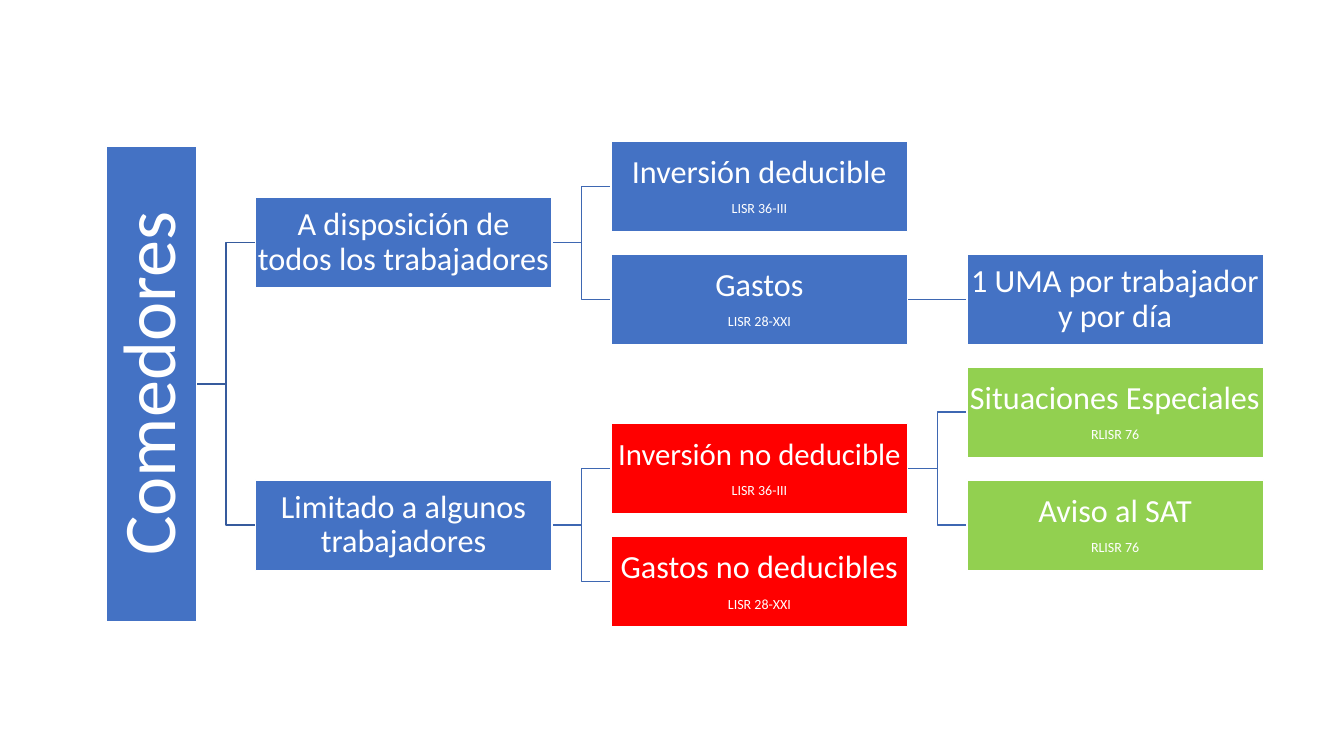
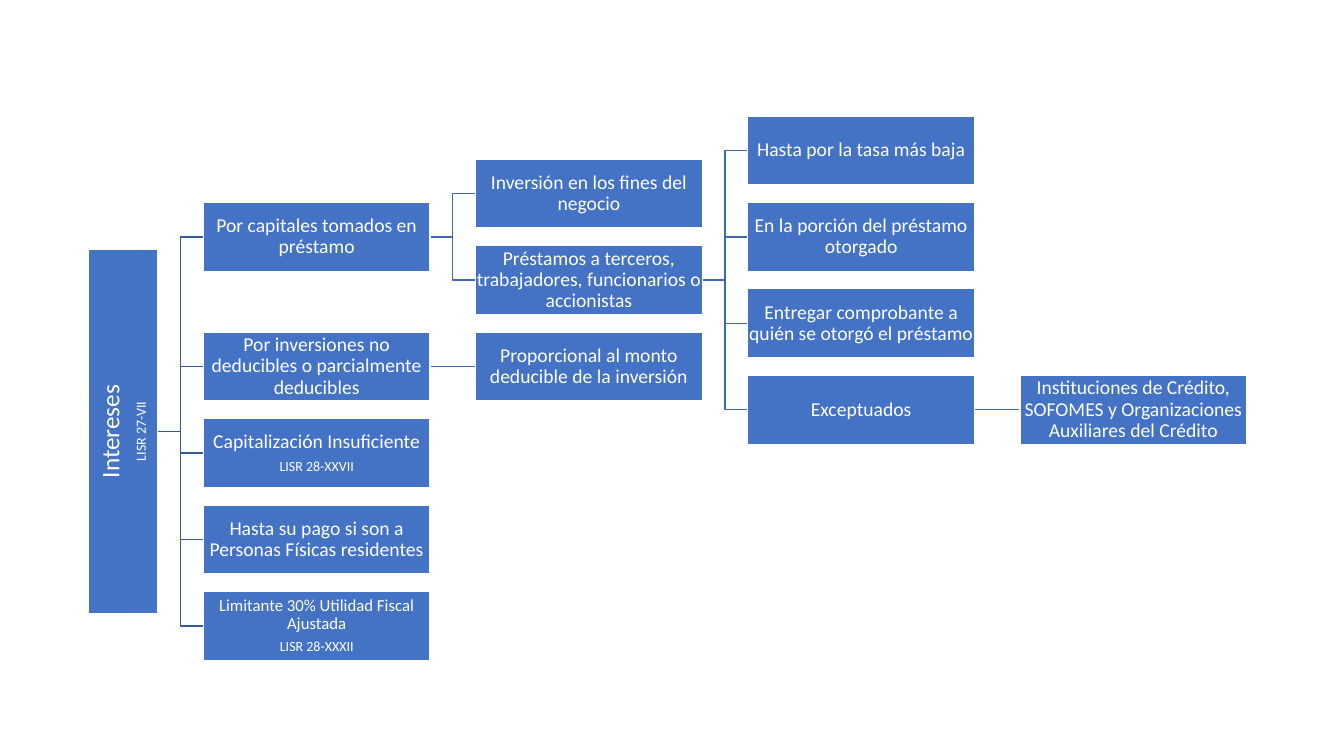
"""Builds two horizontal tree diagrams on deductible expenses."""
from dataclasses import dataclass

from lxml import etree
from pptx import Presentation
from pptx.dml.color import RGBColor
from pptx.enum.shapes import MSO_CONNECTOR, MSO_SHAPE
from pptx.enum.text import MSO_ANCHOR, PP_ALIGN
from pptx.oxml.ns import qn
from pptx.util import Inches, Pt

RECT = MSO_SHAPE.RECTANGLE
ELBOW, STRAIGHT = MSO_CONNECTOR.ELBOW, MSO_CONNECTOR.STRAIGHT
CENTER, MIDDLE = PP_ALIGN.CENTER, MSO_ANCHOR.MIDDLE
LEFT_SIDE, RIGHT_SIDE = 1, 3
BLANK = 6


@dataclass(frozen=True)
class Theme:
    """Colours, type sizes and proportions shared by the slides."""
    font: str = "Calibri"
    white: str = "FFFFFF"
    blue: str = "4472C4"
    red: str = "FF0000"
    green: str = "92D050"
    root_link: str = "365B9D"
    link: str = "3E67B2"
    line: float = 1
    note_size: int = 10
    line_spacing: float = 0.9
    space_after: float = 0.35
    box_ratio: float = 3.28
    root_length: float = 5.26
    column_pitch: float = 1.2
    row_pitch: float = 1.25


THEME = Theme()


@dataclass
class Node:
    """A box of the tree; only leaves need a row."""
    text: str
    note: str = ""
    row: float = 0
    children: tuple = ()
    fill: str = THEME.blue
    size: int = 0

    def __post_init__(self):
        if self.children:
            self.row = (self.children[0].row + self.children[-1].row) / 2


class TreeDeck:
    """Holds the style and the current slide and draws trees on it."""

    def __init__(self, theme):
        self.theme = theme
        self.prs = Presentation()
        self.prs.slide_width = Inches(13.33)
        self.prs.slide_height = Inches(7.5)

    def add_slide(self, left, top, box_width, inset, size):
        """Start a slide whose grid follows from the box width."""
        self.slide = self.prs.slides.add_slide(self.prs.slide_layouts[BLANK])
        self.left, self.top, self.width = left, top, box_width
        self.height = box_width / self.theme.box_ratio
        self.inset, self.size = inset, size

    def box(self, node, column):
        """Draw a node; column 0 is the tall root with upright text."""
        t, w, h = self.theme, self.width, self.height
        is_root = column == 0
        y = self.top + node.row * h * t.row_pitch
        if is_root:
            length = h * t.root_length
            x, y, w, h = self.left, y + (h - length) / 2, h, length
        else:
            x = self.left + h + w * (t.column_pitch * column - 1)
        sp = self.slide.shapes.add_shape(RECT, Inches(x), Inches(y), Inches(w), Inches(h))
        sp.shadow.inherit = False
        sp.fill.solid()
        sp.fill.fore_color.rgb = RGBColor.from_string(node.fill)
        sp.line.color.rgb = RGBColor.from_string(t.white)
        sp.line.width = Pt(t.line)
        if is_root:
            sp.element.txBody.bodyPr.set("vert", "vert270")
        self.label(sp.text_frame, node)
        return sp

    def label(self, tf, node):
        """Set the label and, below it, the legal reference."""
        t = self.theme
        tf.word_wrap, tf.vertical_anchor = True, MIDDLE
        tf.margin_left = tf.margin_right = Inches(self.inset)
        tf.margin_top = tf.margin_bottom = Inches(self.inset)
        tf.text = "\n".join(filter(None, (node.text, node.note)))
        for p, size in zip(tf.paragraphs, (node.size or self.size, t.note_size)):
            p.alignment = CENTER
            p.line_spacing = t.line_spacing
            p.space_after = Pt(size * t.space_after)
            p.font.name, p.font.size = t.font, Pt(size)
            p.font.color.rgb = RGBColor.from_string(t.white)

    def link(self, parent, child, kind, color):
        """Join two boxes with a line that lies behind them."""
        cxn = self.slide.shapes.add_connector(kind, 0, 0, 0, 0)
        cxn.begin_connect(parent, RIGHT_SIDE)
        cxn.end_connect(child, LEFT_SIDE)
        cxn.line.color.rgb = RGBColor.from_string(color)
        cxn.line.width = Pt(self.theme.line)
        etree.SubElement(cxn.element.spPr, qn("a:effectLst"))
        cxn.element.getparent().insert(2, cxn.element)

    def tree(self, node, column=0):
        """Draw a node and everything that branches from it."""
        sp = self.box(node, column)
        color = self.theme.link if column else self.theme.root_link
        for child in node.children:
            kind = STRAIGHT if child.row == node.row else ELBOW
            self.link(sp, self.tree(child, column + 1), kind, color)
        return sp


def meals_tree():
    """Return the tree about staff canteens."""
    red, green = THEME.red, THEME.green
    return Node("Comedores", size=53, children=(
        Node("A disposición de todos los trabajadores", children=(
            Node("Inversión deducible", "LISR 36-III", 0),
            Node("Gastos", "LISR 28-XXI", children=(
                Node("1 UMA por trabajador y por día", row=1),)))),
        Node("Limitado a algunos trabajadores", children=(
            Node("Inversión no deducible", "LISR 36-III", fill=red, size=22, children=(
                Node("Situaciones Especiales", "RLISR 76", 2, fill=green),
                Node("Aviso al SAT", "RLISR 76", 3, fill=green))),
            Node("Gastos no deducibles", "LISR 28-XXI", 3.5, fill=red)))))


def interest_tree():
    """Return the tree about interest payments."""
    return Node("Intereses", "LISR 27-VII", size=18, children=(
        Node("Por capitales tomados en préstamo", children=(
            Node("Inversión en los fines del negocio", row=0.5),
            Node("Préstamos a terceros, trabajadores, funcionarios o accionistas", children=(
                Node("Hasta por la tasa más baja", row=0),
                Node("En la porción del préstamo otorgado", row=1),
                Node("Entregar comprobante a quién se otorgó el préstamo", row=2),
                Node("Exceptuados", children=(
                    Node("Instituciones de Crédito, SOFOMES y Organizaciones "
                         "Auxiliares del Crédito", row=3),)))))),
        Node("Por inversiones no deducibles o parcialmente deducibles", children=(
            Node("Proporcional al monto deducible de la inversión", row=2.5),)),
        Node("Capitalización Insuficiente", "LISR 28-XXVII", 3.5),
        Node("Hasta su pago si son a Personas Físicas residentes", row=4.5),
        Node("Limitante 30% Utilidad Fiscal Ajustada", "LISR 28-XXXII", 5.5, size=12)))


def main():
    """Build and save the presentation."""
    deck = TreeDeck(THEME)
    deck.add_slide(left=1.05, top=1.4, box_width=2.94, inset=0.02, size=23)
    deck.tree(meals_tree())
    deck.add_slide(left=0.88, top=1.15, box_width=2.25, inset=0.01, size=14)
    deck.tree(interest_tree())
    deck.prs.save("out.pptx")


if __name__ == "__main__":
    main()
